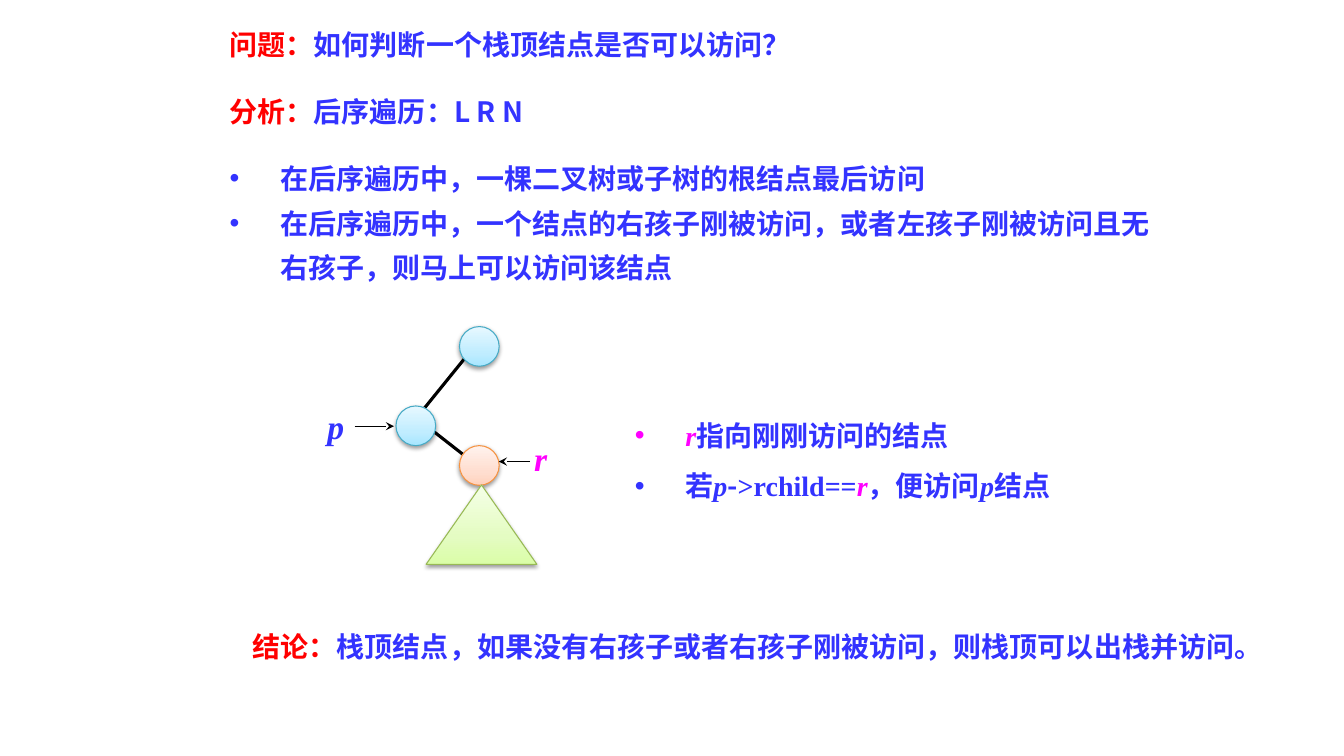
import pptx
import pptx.util
import pptx.dml.color
import pptx.enum.shapes
import pptx.oxml.ns
import copy
import lxml.etree

Cm, Pt = pptx.util.Cm, pptx.util.Pt
qn = pptx.oxml.ns.qn
SHAPE = pptx.enum.shapes.MSO_SHAPE

SERIF, SANS = "Times New Roman", "Noto Sans CJK SC"
BLUE, RED, PINK, BLACK = "3333FF", "FF0000", "FF00FF", "000000"
# Gradient from bottom to top, then the outline
CYAN = (("A7E6FF", "C1EDFF", "E7F8FF"), "46AAC5")
ORANGE = (("FFD2BD", "FFDED0", "FFF2ED"), "F69240")
GREEN = (("DAFDA7", "E4FCC2", "F5FFE7"), "98B955")
STOPS = (0, 0.35, 1)


def colour(value):
    return pptx.dml.color.RGBColor.from_string(value)


def child(parent, tag, **attributes):
    return lxml.etree.SubElement(parent, qn(tag), attributes)


def add_text(page, box, paras, size=20, bullets=False, spacing=None):
    """Each paragraph lists runs of text, colour, italic and Latin font."""
    frame = page.shapes.add_textbox(*map(Cm, box)).text_frame
    frame.word_wrap = True
    for index, runs in enumerate(paras):
        para = frame.add_paragraph() if index else frame.paragraphs[0]
        if spacing:
            para.line_spacing = spacing
        if bullets:
            props = para._p.get_or_add_pPr()
            props.set("marL", str(Cm(1.27)))
            props.set("indent", str(-Cm(1.27)))
            child(props, "a:buFont", typeface="Arial")
            child(props, "a:buChar", char="•")
        for text, ink, italic, font in runs:
            span = para.add_run()
            span.text = text
            span.font.size = Pt(size)
            span.font.bold = True
            span.font.italic = italic
            span.font.color.rgb = colour(ink)
            span.font.name = font
            child(span._r.get_or_add_rPr(), "a:ea", typeface=SANS)


def add_line(page, start, end, width, arrow=False):
    line = page.shapes.add_connector(
        pptx.enum.shapes.MSO_CONNECTOR.STRAIGHT, *map(Cm, start + end))
    line.line.color.rgb = colour(BLACK)
    line.line.width = Pt(width)
    if arrow:
        child(line.line._get_or_add_ln(), "a:tailEnd", type="stealth")
    child(line._element.spPr, "a:effectLst")


def add_tree_part(page, kind, box, palette):
    shades, outline = palette
    shape = page.shapes.add_shape(kind, *map(Cm, box))
    shape.fill.gradient()
    shape.fill.gradient_angle = 90
    stops = shape._element.spPr.find(".//" + qn("a:gsLst"))
    stops.append(copy.deepcopy(stops[0]))
    for stop, position, shade in zip(shape.fill.gradient_stops, STOPS, shades):
        stop.position = position
        stop.color.rgb = colour(shade)
    shape.line.color.rgb = colour(outline)
    shape.line.width = Pt(0.75)
    # Soft shadow below the shape
    shape.shadow.inherit = False
    effects = shape._element.spPr.find(qn("a:effectLst"))
    shadow = child(effects, "a:outerShdw", blurRad=str(Pt(3.1)),
                   dist=str(Pt(1.6)), dir="5400000", rotWithShape="0")
    ink = child(shadow, "a:srgbClr", val=BLACK)
    child(ink, "a:alpha", val="38000")


def add_statement(page, box, lead, body, font=SERIF):
    add_text(page, box, [[(lead, RED, False, font), (body, BLUE, False, font)]])


def add_rules(page, box):
    rules = ("在后序遍历中，一棵二叉树或子树的根结点最后访问",
             "在后序遍历中，一个结点的右孩子刚被访问，或者左孩子刚被访问且无"
             "右孩子，则马上可以访问该结点")
    add_text(page, box, [[(rule, BLUE, False, SERIF)] for rule in rules],
             bullets=True, spacing=Pt(32))


def add_pointer_notes(page, box):
    add_text(page, box, [
        [("r", PINK, True, SERIF), ("指向刚刚访问的结点", BLUE, False, SERIF)],
        [("若", BLUE, False, SERIF), ("p", BLUE, True, SERIF),
         ("-", BLUE, False, SANS), (">rchild==", BLUE, False, SERIF),
         ("r", PINK, True, SERIF), ("，便访问", BLUE, False, SERIF),
         ("p", BLUE, True, SERIF), ("结点", BLUE, False, SERIF)],
    ], bullets=True, spacing=1.5)


def add_tree(page, left, top):
    def at(x, y):
        return left + x, top + y

    # Edges, behind the nodes
    add_line(page, at(3.76, 0.74), at(2.57, 2.21), 2.25)
    add_line(page, at(2.9, 2.62), at(3.68, 3.23), 2.25)
    # Nodes
    for x, y, palette in ((3.58, 0, CYAN), (1.98, 2, CYAN), (3.58, 3, ORANGE)):
        add_tree_part(page, SHAPE.OVAL, at(x, y) + (1, 1), palette)
    # Pointers
    add_line(page, at(0.94, 2.51), at(1.93, 2.51), 0.75, arrow=True)
    add_line(page, at(5.36, 3.4), at(4.57, 3.4), 0.75, arrow=True)
    # Subtree
    add_tree_part(page, SHAPE.ISOSCELES_TRIANGLE, at(2.74, 3.99) + (2.79, 2),
                  GREEN)
    # Pointer names
    for name, x, y, ink in (("r", 5.21, 2.69, PINK), ("p", 0, 1.88, BLUE)):
        add_text(page, at(x, y) + (1.3, 1.27), [[(name, ink, True, SERIF)]],
                 size=24)


def main():
    deck = pptx.Presentation()
    deck.slide_width, deck.slide_height = Cm(33.87), Cm(19.05)
    page = deck.slides.add_slide(deck.slide_layouts[6])
    # Question and analysis
    add_statement(page, (5.54, 0.56, 15.88, 1.12), "问题：",
                  "如何判断一个栈顶结点是否可以访问？")
    add_statement(page, (5.54, 2.26, 11.8, 1.12), "分析：",
                  "后序遍历：L R N", SANS)
    add_rules(page, (5.54, 3.66, 24.03, 3.56))
    # Example
    add_tree(page, 8, 8.23)
    add_pointer_notes(page, (15.75, 10, 11.7, 2.67))
    # Conclusion
    add_statement(page, (6.12, 15.75, 26.42, 1.12), "结论：",
                  "栈顶结点，如果没有右孩子或者右孩子刚被访问，则栈顶可以出栈并访问。")
    deck.save("out.pptx")


if __name__ == "__main__":
    main()
